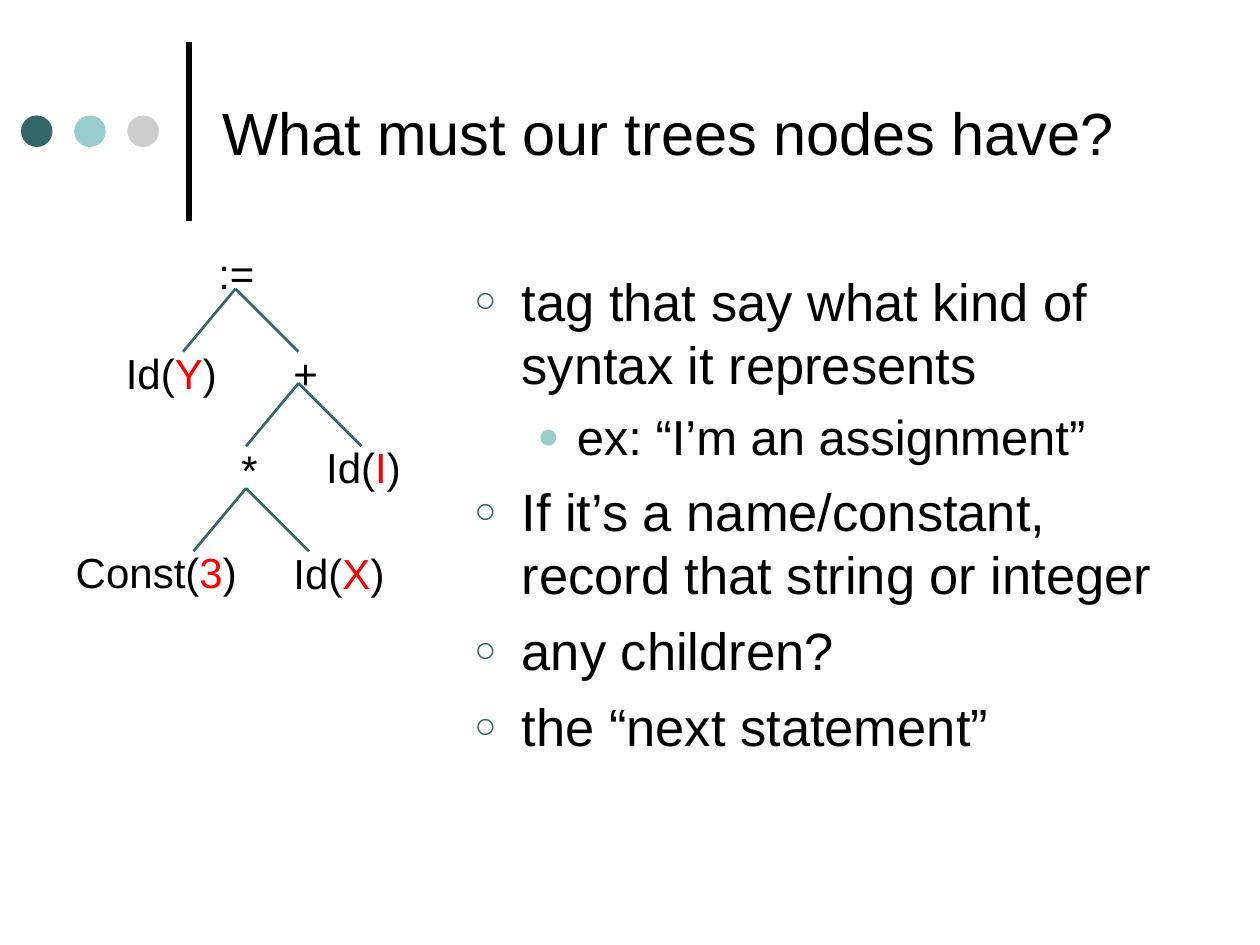
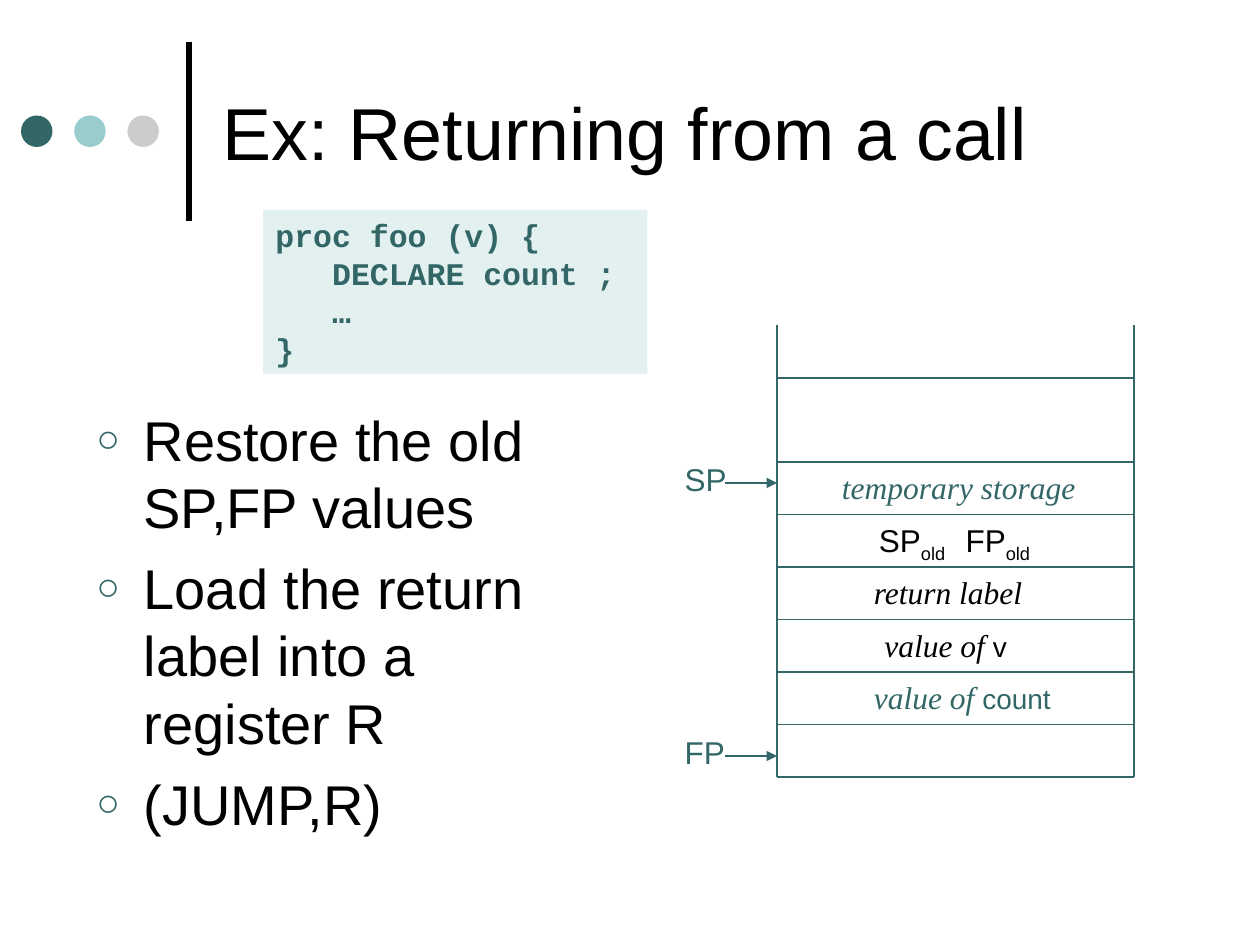
from lxml import etree
from pptx import Presentation
from pptx.dml.color import RGBColor
from pptx.enum.shapes import MSO_CONNECTOR, MSO_SHAPE
from pptx.enum.text import MSO_ANCHOR, PP_ALIGN
from pptx.oxml.ns import qn
from pptx.util import Pt

LINE = MSO_CONNECTOR.STRAIGHT
OVAL = MSO_SHAPE.OVAL
RECT = MSO_SHAPE.RECTANGLE
TOP = MSO_ANCHOR.TOP
MIDDLE = MSO_ANCHOR.MIDDLE
LEFT = PP_ALIGN.LEFT
CENTER = PP_ALIGN.CENTER

BLACK, RED, TEAL = "000000", "FF0000", "336666"
AQUA, GRAY, PALE = "99CCCC", "CCCCCC", "E2F0F0"
SANS, SERIF, MONO = "Arial", "Times New Roman", "Courier New"
BULLETS = [("○", TEAL, 70, 27, 27), ("●", AQUA, 75, 58.5, 22.5)]


def color(code):
    return RGBColor.from_string(code)


def style(font, size, tint=BLACK, face=SANS):
    font.size, font.name = Pt(size), face
    font.color.rgb = color(tint)


def add_sub(node, tag, **attrs):
    sub = etree.SubElement(node, qn(tag))
    for key, value in attrs.items():
        sub.set(key, str(value))
    return sub


def add_line(slide, start, end, width, tint=TEAL, arrow=False):
    line = slide.shapes.add_connector(LINE, *map(Pt, start + end))
    line.line.color.rgb = color(tint)
    line.line.width = Pt(width)
    if arrow:
        add_sub(line.line._get_or_add_ln(), "a:tailEnd", type="triangle")
    add_sub(line._element.spPr, "a:effectLst")


def add_shape(slide, kind, box, fill):
    shape = slide.shapes.add_shape(kind, *map(Pt, box))
    shape.shadow.inherit = False
    shape.fill.solid()
    shape.fill.fore_color.rgb = color(fill)
    shape.line.fill.background()
    return shape


def add_text(slide, box, wrap=False):
    frame = slide.shapes.add_textbox(*map(Pt, box)).text_frame
    frame.word_wrap = wrap
    return frame


def add_label(slide, box, parts, size=24, tint=BLACK, face=SANS, align=LEFT):
    para = add_text(slide, box).paragraphs[0]
    para.alignment = align
    style(para.font, size, tint, face)
    for part in parts:
        para.add_run().text = part
    return para


def add_head(slide, title, size):
    add_line(slide, (108, 126), (108, 24), 3, BLACK)
    for i, fill in enumerate((TEAL, AQUA, GRAY)):
        add_shape(slide, OVAL, (12 + 30.4 * i, 66, 18, 18), fill)
    frame = add_text(slide, (120, 15, 552, 120), True)
    frame.vertical_anchor = MIDDLE
    para = frame.paragraphs[0]
    para.text = title
    style(para.font, size)


def add_list(slide, box, items):
    frame = add_text(slide, box, True)
    for i, (level, size, text) in enumerate(items):
        para = frame.add_paragraph() if i else frame.paragraphs[0]
        para.text = text
        if i:
            para.space_before = Pt(size / 4)
        char, tint, scale, margin, hang = BULLETS[level]
        props = para._p.get_or_add_pPr()
        props.set("marL", str(Pt(margin)))
        props.set("indent", str(Pt(-hang)))
        props.set("lvl", str(level))
        add_sub(add_sub(props, "a:buClr"), "a:srgbClr", val=tint)
        add_sub(props, "a:buSzPct", val=scale * 1000)
        add_sub(props, "a:buFont", typeface=SANS)
        add_sub(props, "a:buChar", char=char)
        style(para.font, size)


def add_tree(slide, box):
    left, top = box[:2]
    nodes = [
        (81.4, 0, 35.3, [":="], SANS),
        (28.8, 57, 66.2, ["Id(", "Y", ")"], SANS),
        (124.6, 57, 28.1, ["+"], SANS),
        (92.2, 113.3, 28.8, ["*"], MONO),
        (143.3, 111, 56.9, ["Id(", "I", ")"], SANS),
        (0, 171, 106.6, ["Const(", "3", ")"], SANS),
        (124.6, 171.6, 66.2, ["Id(", "X", ")"], SANS),
    ]
    for x, y, width, parts, face in nodes:
        spot = (left + x, top + y, width, 36)
        para = add_label(slide, spot, parts, face=face, align=CENTER)
        if len(parts) == 3:
            para.runs[1].font.color.rgb = color(RED)
    for x, y in ((98.6, 27), (134.6, 81), (104.6, 141)):
        fork = (left + x, top + y)
        for step in (-30, 36):
            add_line(slide, fork, (fork[0] + step, fork[1] + 36), 1.5)


def add_code(slide, box, lines):
    frame = add_shape(slide, RECT, box, PALE).text_frame
    frame.word_wrap = False
    frame.vertical_anchor = TOP
    for i, text in enumerate(lines):
        para = frame.add_paragraph() if i else frame.paragraphs[0]
        para.text = text
        para.alignment = LEFT
        style(para.font, 18, TEAL, MONO)
        para.font.bold = True


def add_stack(slide, box):
    left, top, width, height = box
    right, base = left + width, top + height
    for x in (left, right):
        add_line(slide, (x, top), (x, base), 0.75)
    for rise in [30 * i for i in range(7)] + [228]:
        add_line(slide, (left, base - rise), (right, base - rise), 0.75)

    rows = [
        (30, 198, ["temporary storage"], TEAL),
        (48.3, 100, ["return label"], BLACK),
        (54.3, 84.2, ["value of ", "v"], BLACK),
        (48.3, 115.2, ["value of ", "count"], TEAL),
    ]
    for (x, wide, parts, tint), rise in zip(rows, (180, 120, 90, 60)):
        spot = (left + x, base - rise, wide, 28.8)
        para = add_label(slide, spot, parts, 18, tint, SERIF)
        para.runs[0].font.italic = True
        for run in para.runs[1:]:
            style(run.font, 16, tint)

    spot = (left + 51.2, base - 150, 102, 31.7)
    para = add_label(slide, spot, ["SP", "old", "\tFP", "old"], 18)
    tabs = etree.Element(qn("a:tabLst"))
    add_sub(tabs, "a:tab", pos=Pt(49.5), algn="l")
    para._p.get_or_add_pPr().insert(0, tabs)
    for run in para.runs[1::2]:
        run._r.get_or_add_rPr().set("baseline", "-25000")

    for name, y, drop in (("SP", 90, 16.8), ("FP", 246, 16.5)):
        spot = (left - 59.8, top + y - drop, 44, 28.8)
        add_label(slide, spot, [name], 18, TEAL)
        add_line(slide, (left - 30, top + y), (left, top + y), 0.75, arrow=True)


def main():
    deck = Presentation()
    deck.slide_width, deck.slide_height = Pt(720), Pt(540)
    blank = deck.slide_layouts[6]

    slide = deck.slides.add_slide(blank)
    add_head(slide, "What must our trees nodes have?", 34)
    add_list(slide, (264, 150, 408, 324), [
        (0, 30, "tag that say what kind of syntax it represents"),
        (1, 28, "ex: “I’m an assignment”"),
        (0, 30, "If it’s a name/constant, record that string or integer"),
        (0, 30, "any children?"),
        (0, 30, "the “next statement”"),
    ])
    add_tree(slide, (36, 138, 200, 207))

    slide = deck.slides.add_slide(blank)
    add_head(slide, "Ex: Returning from a call", 42)
    add_list(slide, (48, 228, 309, 294.5), [
        (0, 32, "Restore the old SP,FP values"),
        (0, 32, "Load the return label into a register R"),
        (0, 32, "(JUMP,R)"),
    ])
    add_stack(slide, (444, 186, 204, 258))
    add_code(slide, (150.3, 120, 219.6, 93.6), [
        "proc foo (v) {", "   DECLARE count ;", "   …", "}"])

    deck.save("out.pptx")


if __name__ == "__main__":
    main()
